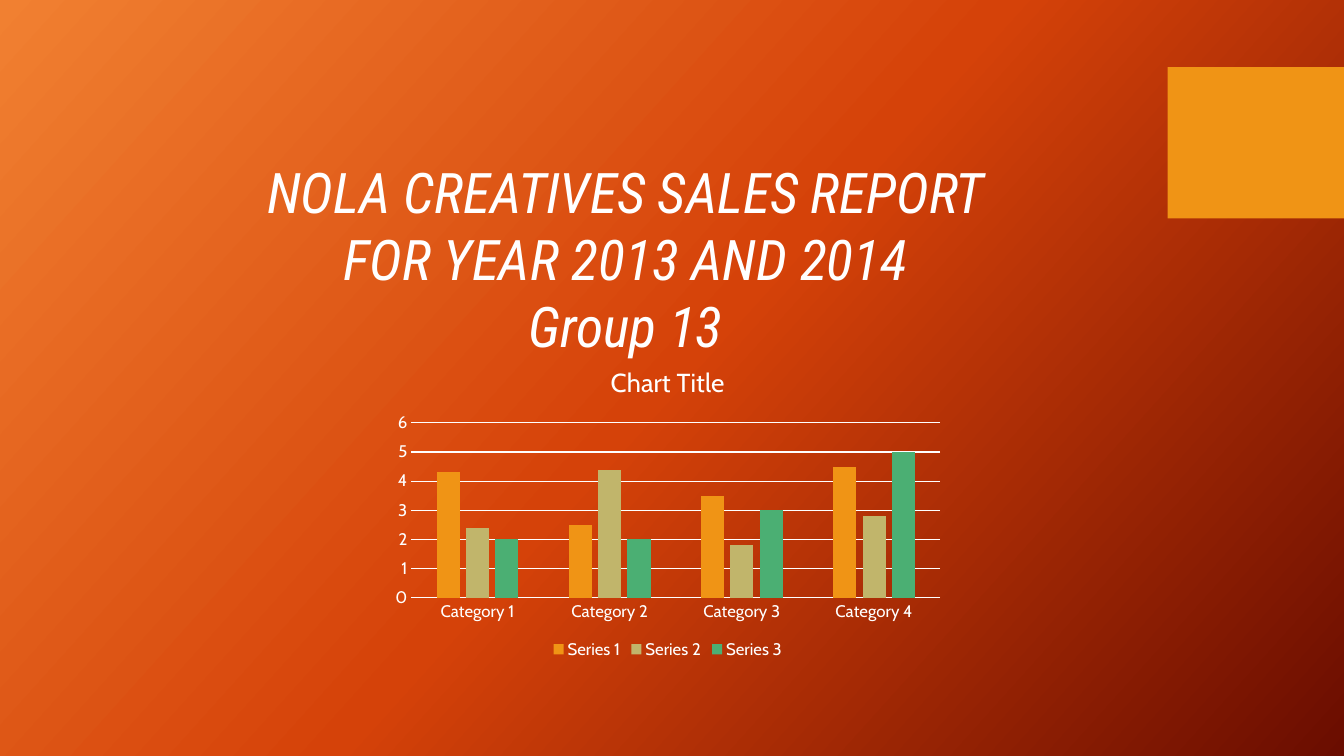
from copy import deepcopy
from dataclasses import dataclass

from pptx import Presentation
from pptx import util as u
from pptx.chart import data as chart_data
from pptx.dml.color import RGBColor
from pptx.enum import chart as charts, shapes, text
from pptx.oxml.ns import qn
from pptx.slide import Slide
from pptx.text.text import Font


@dataclass(frozen=True)
class Theme:
    heading_font: str = "Roboto Condensed"
    body_font: str = "Cabin"
    white: str = "FFFFFF"
    accent: str = "F09415"
    backdrop: tuple[str, ...] = ("F18031", "D54209", "6A0D00")
    heading_size: float = 40
    chart_title_size: float = 18.6
    label_size: float = 12
    chart_size: float = 10
    line_width: float = 0.75


@dataclass(frozen=True)
class Box:
    left: float
    top: float
    width: float
    height: float

    def lengths(self) -> tuple[u.Length, ...]:
        return tuple(u.Pt(n) for n in (self.left, self.top, self.width, self.height))


@dataclass(frozen=True)
class Series:
    name: str
    values: tuple[float, ...]
    color: str


THEME = Theme()
HEADING = ("NOLA CREATIVES SALES REPORT FOR YEAR 2013 AND 2014", "Group 13")
CATEGORIES = [f"Category {n}" for n in range(1, 5)]
SERIES = (
    Series("Series 1", (4.3, 2.5, 3.5, 4.5), THEME.accent),
    Series("Series 2", (2.4, 4.4, 1.8, 2.8), "C1B56B"),
    Series("Series 3", (2, 2, 3, 5), "4BAF73"),
)


def style_font(font: Font, name: str, size: float, italic: bool = False) -> None:
    font.name = name
    font.size = u.Pt(size)
    font.bold = False
    font.italic = italic
    font.color.rgb = RGBColor.from_string(THEME.white)


def paint_backdrop(slide: Slide) -> None:
    fill = slide.background.fill
    fill.gradient()
    fill.gradient_angle = 318
    stop_list = next(slide.element.iter(qn("a:gsLst")))
    stop_list.append(deepcopy(stop_list[-1]))
    for index, (stop, color) in enumerate(zip(fill.gradient_stops, THEME.backdrop)):
        stop.position = index / (len(THEME.backdrop) - 1)
        stop.color.rgb = RGBColor.from_string(color)


def add_accent(slide: Slide, box: Box) -> None:
    accent = slide.shapes.add_shape(shapes.MSO_SHAPE.RECTANGLE, *box.lengths())
    accent.shadow.inherit = False
    accent.fill.solid()
    accent.fill.fore_color.rgb = RGBColor.from_string(THEME.accent)
    accent.line.fill.background()


def add_heading(slide: Slide, box: Box) -> None:
    frame = slide.shapes.add_textbox(*box.lengths()).text_frame
    frame.word_wrap = True
    for index, words in enumerate(HEADING):
        paragraph = frame.add_paragraph() if index else frame.paragraphs[0]
        paragraph.alignment = text.PP_ALIGN.CENTER
        run = paragraph.add_run()
        run.text = words
        style_font(run.font, THEME.heading_font, THEME.heading_size, italic=True)


def add_sales_chart(slide: Slide, box: Box) -> None:
    sales = chart_data.CategoryChartData()
    sales.categories = CATEGORIES
    for series in SERIES:
        sales.add_series(series.name, series.values)
    chart = slide.shapes.add_chart(
        charts.XL_CHART_TYPE.COLUMN_CLUSTERED, *box.lengths(), sales
    ).chart
    style_font(chart.font, THEME.body_font, THEME.chart_size)

    chart.has_title = True
    title = chart.chart_title.text_frame.paragraphs[0].add_run()
    title.text = "Chart Title"
    style_font(title.font, THEME.body_font, THEME.chart_title_size)
    chart.chart_title.include_in_layout = False

    chart.has_legend = True
    chart.legend.position = charts.XL_LEGEND_POSITION.BOTTOM
    chart.legend.include_in_layout = False
    style_font(chart.legend.font, THEME.body_font, THEME.label_size)

    for axis in (chart.category_axis, chart.value_axis):
        axis.major_tick_mark = charts.XL_TICK_MARK.NONE
        axis.minor_tick_mark = charts.XL_TICK_MARK.NONE
        style_font(axis.tick_labels.font, THEME.body_font, THEME.label_size)
    chart.value_axis.format.line.fill.background()
    chart.value_axis.minimum_scale = 0
    chart.value_axis.maximum_scale = 6
    chart.value_axis.major_unit = 1
    for rule in (chart.category_axis.format.line, chart.value_axis.major_gridlines.format.line):
        rule.color.rgb = RGBColor.from_string(THEME.white)
        rule.width = u.Pt(THEME.line_width)

    columns = chart.plots[0]
    columns.vary_by_categories = False
    columns.gap_width = 219
    columns.overlap = -27
    for drawn, series in zip(columns.series, SERIES):
        drawn.format.fill.solid()
        drawn.format.fill.fore_color.rgb = RGBColor.from_string(series.color)


def main() -> None:
    deck = Presentation()
    deck.slide_width, deck.slide_height = u.Pt(960), u.Pt(540)
    slide = deck.slides.add_slide(deck.slide_layouts[6])
    paint_backdrop(slide)
    add_accent(slide, Box(834, 48, 126, 108))
    add_heading(slide, Box(177, 108.7, 539.5, 201))
    add_sales_chart(slide, Box(274.3, 248.4, 405.4, 225.4))
    deck.save("out.pptx")


if __name__ == "__main__":
    main()
